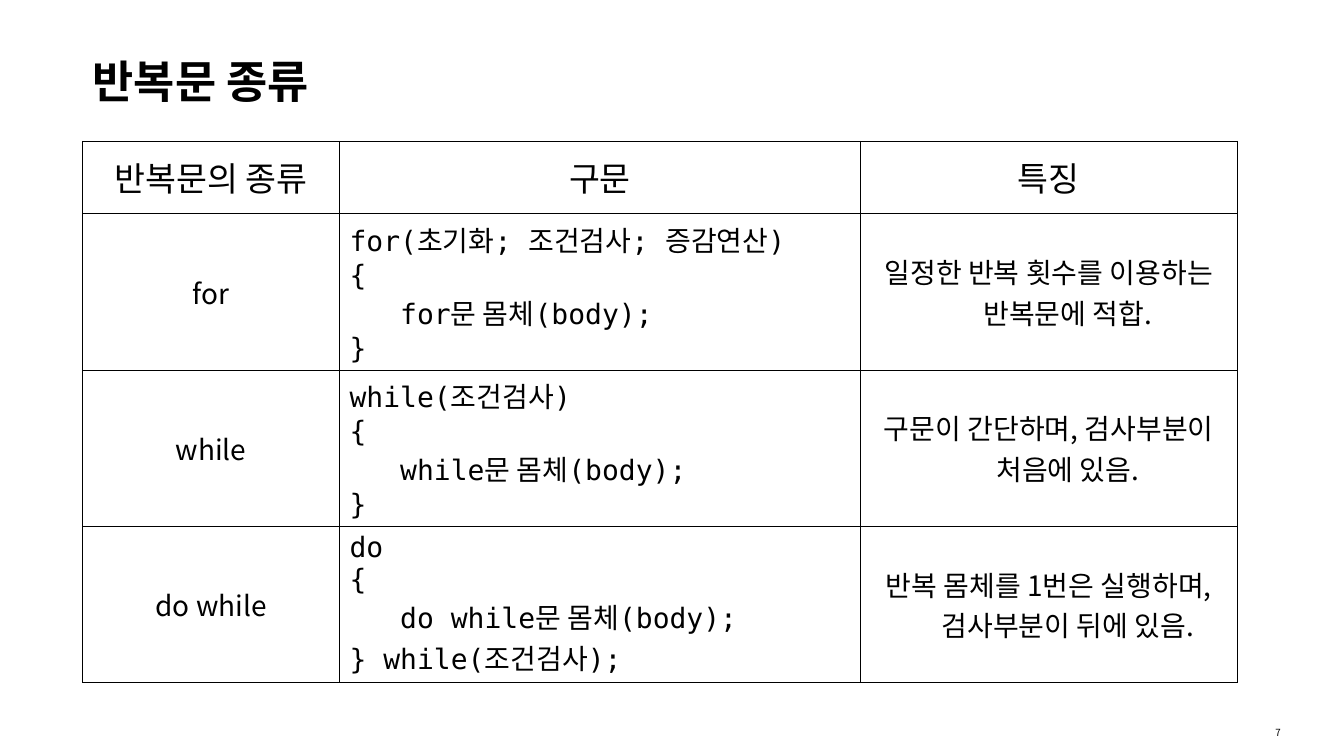
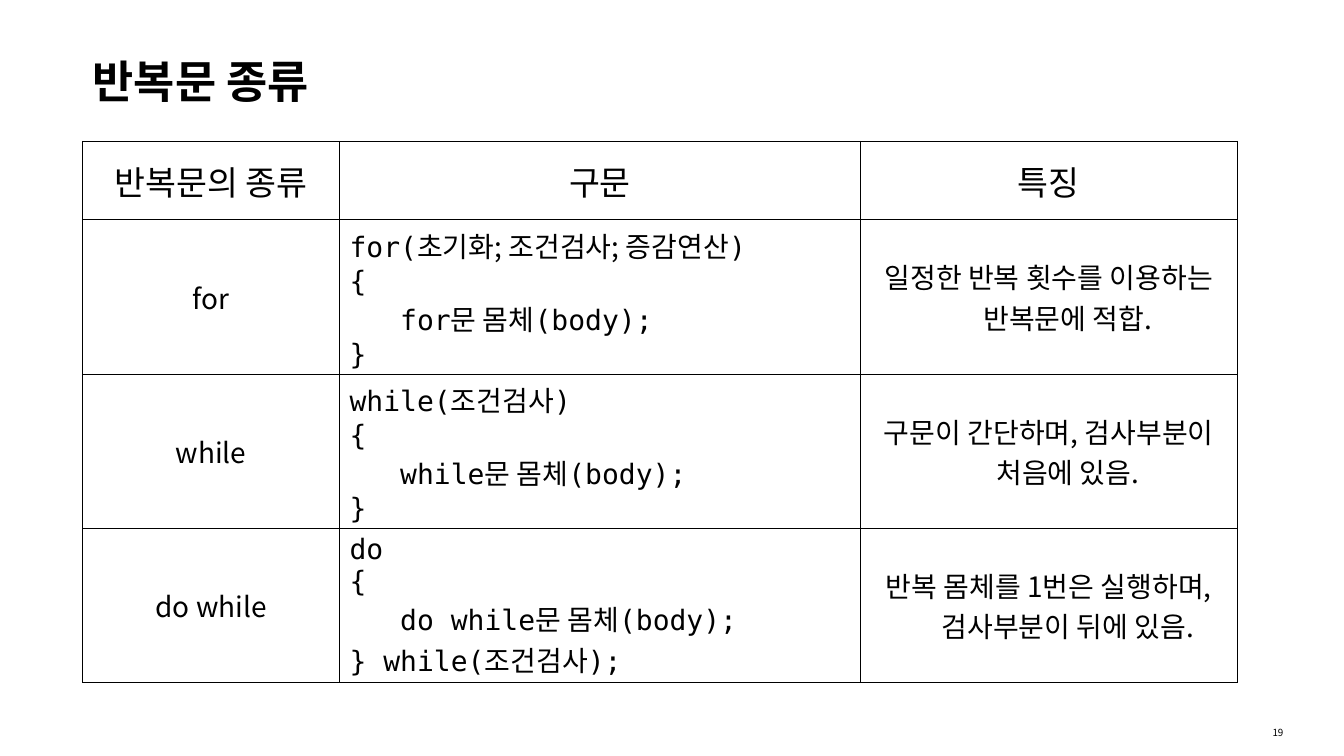
from lxml import etree
from pptx import Presentation
from pptx.dml.color import RGBColor
from pptx.enum.text import MSO_ANCHOR, MSO_AUTO_SIZE, PP_ALIGN
from pptx.oxml.ns import qn
from pptx.util import Inches, Pt

LEFT, CENTER = PP_ALIGN.LEFT, PP_ALIGN.CENTER
TOP, MIDDLE = MSO_ANCHOR.TOP, MSO_ANCHOR.MIDDLE
NO_AUTOFIT = MSO_AUTO_SIZE.NONE

BLACK = RGBColor(0x00, 0x00, 0x00)
WHITE = RGBColor(0xFF, 0xFF, 0xFF)
TITLE_FONT = "Noto Sans CJK TC"
SANS = "Noto Sans CJK KR"
MONO = "DejaVu Sans Mono"

TITLE_ONLY = 5
HANGING = 0.38
BORDER_WIDTH = Pt(0.45)
COLUMN_WIDTHS = (2.55, 5.17, 3.74)
HEADINGS = ("반복문의 종류", "구문", "특징")

FOR_HEAD_MONO = [("for(초기화; 조건검사; 증감연산)", MONO)]
FOR_HEAD_MIXED = [("for(", MONO), ("초기화; 조건검사; 증감연산", SANS), (")", MONO)]


def code(*texts):
    """Return one monospaced line for each text."""
    return [[(text, MONO)] for text in texts]


def loop_rows(for_head):
    """Return name, syntax lines and feature of each loop."""
    return [
        ("for", [for_head] + code("{", "   for문 몸체(body);", "}"),
         "일정한 반복 횟수를 이용하는 반복문에 적합."),
        ("while", code("while(조건검사)", "{", "   while문 몸체(body);", "}"),
         "구문이 간단하며, 검사부분이 처음에 있음."),
        ("do while", code("do", "{", "   do while문 몸체(body);", "} while(조건검사);"),
         "반복 몸체를 1번은 실행하며, 검사부분이 뒤에 있음."),
    ]


def add_span(para, text, font, size, bold=False):
    """Add a run with its Latin and East Asian fonts."""
    span = para.add_run()
    span.text = text
    span.font.name = font
    span.font.size = Pt(size)
    span.font.bold = bold
    span.font.color.rgb = BLACK
    east_asian = TITLE_FONT if font == TITLE_FONT else SANS
    latin = span.font._element.find(qn("a:latin"))
    latin.addnext(etree.Element(qn("a:ea"), typeface=east_asian))


def place(shape, left, top, width, height):
    """Set the position and size of a shape."""
    shape.left, shape.top = Inches(left), Inches(top)
    shape.width, shape.height = Inches(width), Inches(height)


def add_title(page, text):
    """Fill the title placeholder."""
    title = page.shapes.title
    place(title, 0.82, 0.47, 11.87, 0.72)
    frame = title.text_frame
    frame.auto_size = NO_AUTOFIT
    frame.vertical_anchor = MIDDLE
    para = frame.paragraphs[0]
    para.alignment = LEFT
    para.line_spacing = 0.9
    add_span(para, text, TITLE_FONT, 32, bold=True)


def add_page_number(page, number):
    """Add the page number at the lower right."""
    box = page.shapes.add_textbox(Inches(12.18), Inches(7.15), Inches(1.01), Inches(0.25))
    frame = box.text_frame
    frame.word_wrap = True
    frame.vertical_anchor = MIDDLE
    para = frame.paragraphs[0]
    para.alignment = CENTER
    para.line_spacing = 0.8
    add_span(para, str(number), SANS, 7)


def set_borders(cell):
    """Draw a thin line on every side of a cell."""
    properties = cell._tc.get_or_add_tcPr()
    for index, side in enumerate(("a:lnL", "a:lnR", "a:lnT", "a:lnB")):
        line = etree.Element(qn(side), w=str(BORDER_WIDTH))
        fill = etree.SubElement(line, qn("a:solidFill"))
        etree.SubElement(fill, qn("a:srgbClr"), val=str(BLACK))
        properties.insert(index, line)


def fill_cell(cell, lines, size, alignment=CENTER, anchor=MIDDLE):
    """Write lines of spans into a bordered cell."""
    cell.fill.solid()
    cell.fill.fore_color.rgb = WHITE
    set_borders(cell)
    cell.vertical_anchor = anchor
    frame = cell.text_frame
    for index, line in enumerate(lines):
        para = frame.add_paragraph() if index else frame.paragraphs[0]
        para.alignment = alignment
        indent = para._p.get_or_add_pPr()
        indent.set("marL", str(Inches(HANGING)))
        indent.set("indent", str(-Inches(HANGING)))
        for text, font in line:
            add_span(para, text, font, size)


def add_loop_table(page, rows, header_height, row_height):
    """Add the table that compares the loops."""
    heights = [header_height] + [row_height] * len(rows)
    frame = page.shapes.add_table(len(heights), len(COLUMN_WIDTHS), Inches(0.82), Inches(1.4),
                                  Inches(sum(COLUMN_WIDTHS)), Inches(sum(heights)))
    table = frame.table
    table.first_row = table.horz_banding = False
    for column, width in zip(table.columns, COLUMN_WIDTHS):
        column.width = Inches(width)
    for row, height in zip(table.rows, heights):
        row.height = Inches(height)
    for index, heading in enumerate(HEADINGS):
        fill_cell(table.cell(0, index), [[(heading, SANS)]], 24)
    for index, (name, syntax, feature) in enumerate(rows, start=1):
        fill_cell(table.cell(index, 0), [[(name, SANS)]], 20)
        fill_cell(table.cell(index, 1), syntax, 20, LEFT, TOP)
        fill_cell(table.cell(index, 2), [[(feature, SANS)]], 20)


def add_loop_page(deck, number, for_head, header_height, row_height):
    """Add one page with title, number and loop table."""
    page = deck.slides.add_slide(deck.slide_layouts[TITLE_ONLY])
    add_title(page, "반복문 종류")
    add_page_number(page, number)
    add_loop_table(page, loop_rows(for_head), header_height, row_height)


def main():
    """Build and save the deck."""
    deck = Presentation()
    deck.slide_width, deck.slide_height = Inches(13.34), Inches(7.5)
    add_loop_page(deck, 7, FOR_HEAD_MONO, 0.72, 1.55)
    add_loop_page(deck, 19, FOR_HEAD_MIXED, 0.78, 1.53)
    deck.save("out.pptx")


if __name__ == "__main__":
    main()
